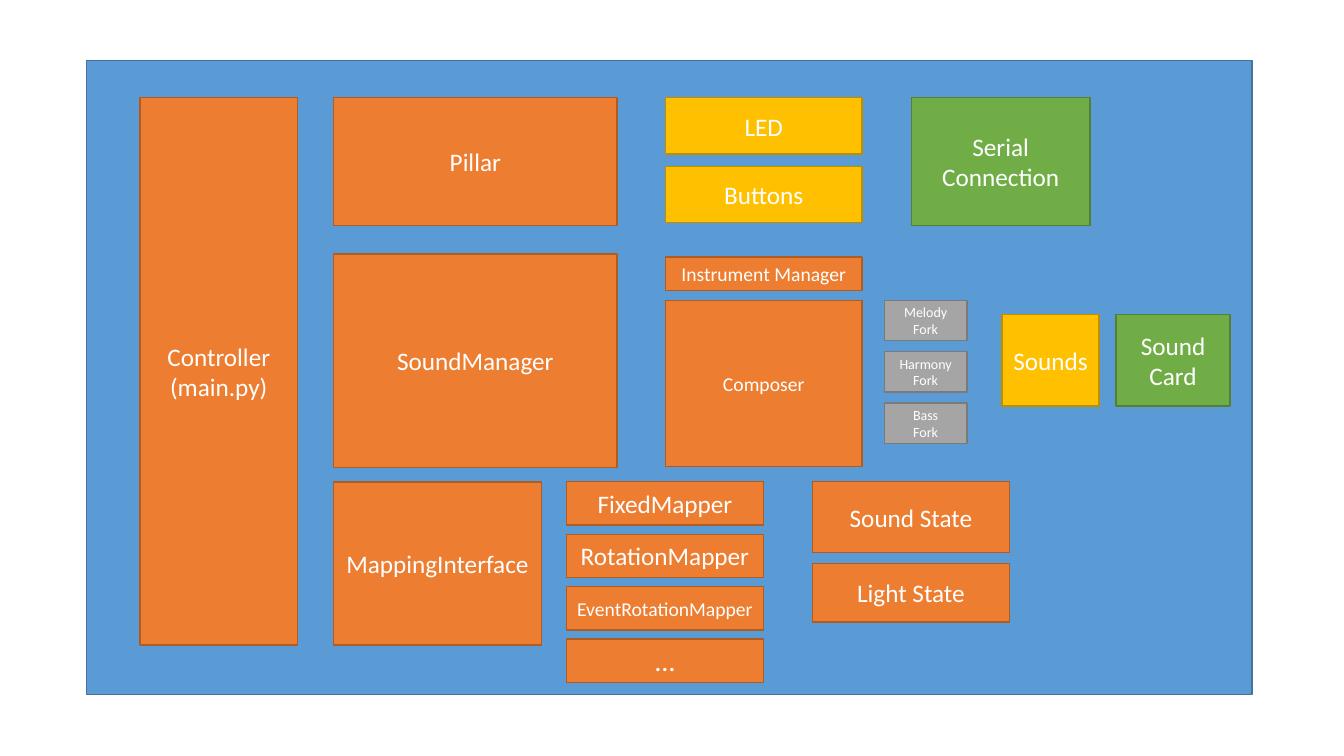
import pptx
import pptx.util
import pptx.dml.color
import pptx.enum.shapes
import pptx.enum.text

COLORS = {
    "white": "FFFFFF",
    "blue": "5B9BD5", "blue_edge": "43739E",
    "orange": "ED7D31", "orange_edge": "AF5C24",
    "green": "70AD47", "green_edge": "538035",
    "yellow": "FFC000", "yellow_edge": "BD8E00",
    "gray": "A5A5A5", "gray_edge": "7A7A7A",
}
FONT_FORMAT = {"name": "Calibri", "bold": False}
FRAME_FORMAT = {"word_wrap": True, "vertical_anchor": pptx.enum.text.MSO_ANCHOR.MIDDLE}

SOUND_LEFT, SOUND_WIDTH = 3.31, 2.81
DETAIL_LEFT, DETAIL_WIDTH = 6.6, 1.95
MAPPER_LEFT, STATE_LEFT = 5.62, 8.06
TOP_ROW, FORK_TOP, OUTPUT_TOP, MAPPING_TOP = 0.97, 2.98, 3.12, 4.78


class ArchitectureSlide:
    def __init__(self, presentation):
        self.slide = presentation.slides.add_slide(presentation.slide_layouts[6])

    def rgb(self, color):
        return pptx.dml.color.RGBColor.from_string(COLORS[color])

    def block(self, left, top, width, height, color, label="", size=18):
        block = self.slide.shapes.add_shape(
            pptx.enum.shapes.MSO_SHAPE.RECTANGLE,
            *map(pptx.util.Inches, (left, top, width, height)))
        block.shadow.inherit = False
        block.fill.solid()
        block.fill.fore_color.rgb = self.rgb(color)
        block.line.color.rgb = self.rgb(f"{color}_edge")
        block.line.width = pptx.util.Pt(1)
        if label:
            self.label(block.text_frame, label, size)

    def label(self, frame, label, size):
        for attribute, value in FRAME_FORMAT.items():
            setattr(frame, attribute, value)
        frame.text = label
        for paragraph in frame.paragraphs:
            paragraph.alignment = pptx.enum.text.PP_ALIGN.CENTER
            font = paragraph.runs[0].font
            for attribute, value in FONT_FORMAT.items():
                setattr(font, attribute, value)
            font.size = pptx.util.Pt(size)
            font.color.rgb = self.rgb("white")

    def stack(self, left, top, width, height, step, color, entries):
        for row, (label, size) in enumerate(entries):
            self.block(left, top + row * step, width, height, color, label, size)


def main():
    presentation = pptx.Presentation()
    presentation.slide_width = pptx.util.Inches(13.33)
    presentation.slide_height = pptx.util.Inches(7.5)
    system = ArchitectureSlide(presentation)

    system.block(0.86, 0.6, 11.56, 6.29, "blue")
    system.block(1.39, TOP_ROW, 1.56, 5.43, "orange", "Controller\n(main.py)")

    system.block(SOUND_LEFT, TOP_ROW, SOUND_WIDTH, 1.27, "orange", "Pillar")
    system.stack(DETAIL_LEFT, TOP_ROW, DETAIL_WIDTH, 0.56, 0.68, "yellow",
                 [("LED", 18), ("Buttons", 18)])
    system.block(9.04, TOP_ROW, 1.77, 1.27, "green", "Serial Connection")

    system.block(SOUND_LEFT, 2.52, SOUND_WIDTH, 2.12, "orange", "SoundManager")
    system.block(DETAIL_LEFT, 2.55, DETAIL_WIDTH, 0.33, "orange", "Instrument Manager", 14)
    system.block(DETAIL_LEFT, FORK_TOP, DETAIL_WIDTH, 1.65, "orange", "Composer", 14)
    system.stack(8.77, FORK_TOP, 0.82, 0.4, 0.51, "gray",
                 [("Melody Fork", 10), ("Harmony\nFork", 10), ("Bass\nFork", 10)])
    system.block(9.94, OUTPUT_TOP, 0.96, 0.91, "yellow", "Sounds")
    system.block(11.07, OUTPUT_TOP, 1.13, 0.91, "green", "Sound Card")

    system.block(SOUND_LEFT, MAPPING_TOP, 2.06, 1.62, "orange", "MappingInterface")
    system.stack(MAPPER_LEFT, MAPPING_TOP, DETAIL_WIDTH, 0.43, 0.52, "orange",
                 [("FixedMapper", 18), ("RotationMapper", 18),
                  ("EventRotationMapper", 14), ("…", 20)])
    system.block(STATE_LEFT, MAPPING_TOP, DETAIL_WIDTH, 0.7, "orange", "Sound State")
    system.block(STATE_LEFT, 5.59, DETAIL_WIDTH, 0.58, "orange", "Light State")

    presentation.save("out.pptx")


if __name__ == "__main__":
    main()
